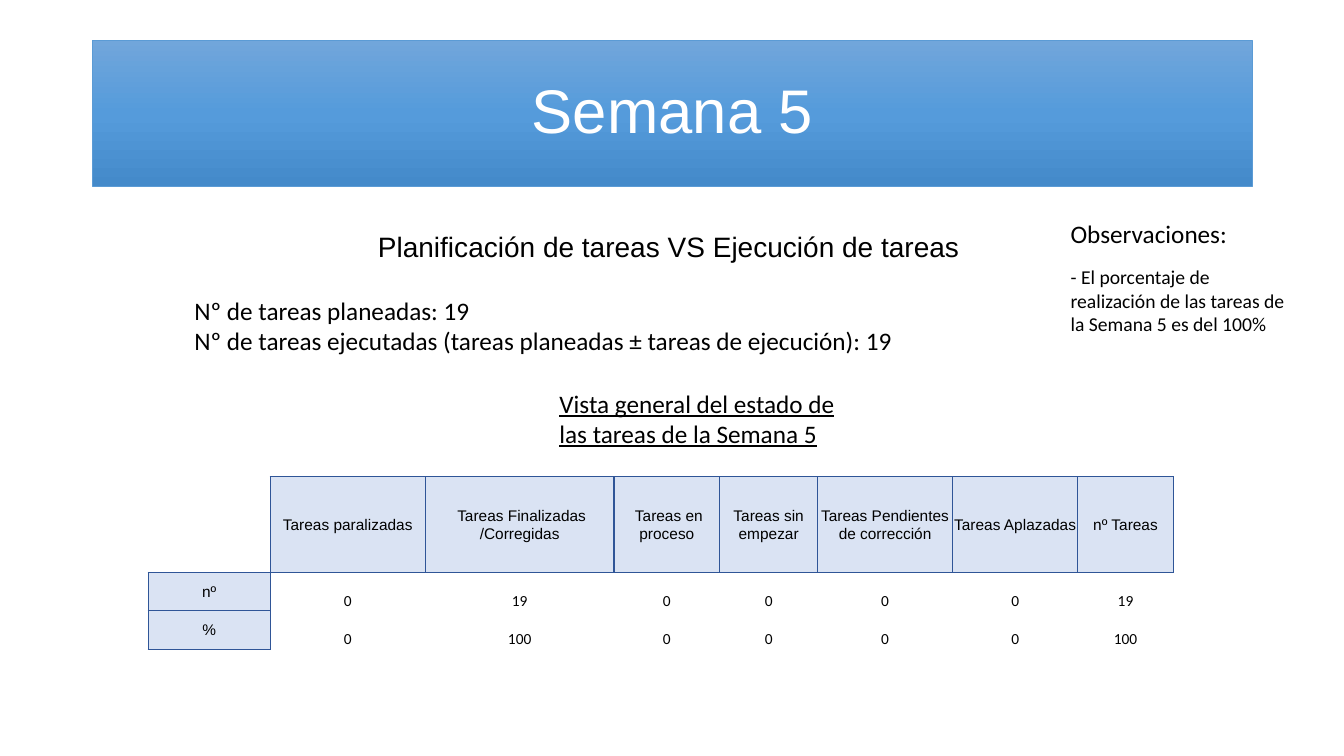
from copy import deepcopy
from dataclasses import dataclass

from lxml import etree
from pptx import Presentation
from pptx.dml import color
from pptx.enum import shapes, text
from pptx.oxml import ns
from pptx.util import Inches, Pt

COLORS = {
    "white": "FFFFFF",
    "black": "000000",
    "banner_top": "71A6DB",
    "banner_middle": "559BDB",
    "banner_bottom": "448ACA",
    "banner_line": "5B9BD5",
    "label_fill": "DAE3F3",
    "table_line": "2F5597",
}


@dataclass
class Note:
    left: float
    top: float
    width: float
    height: float
    lines: list[str]
    size: int = 18
    font: str = "Calibri"
    underline: bool = False


NOTES = [
    Note(3.65, 2.23, 6.04, 0.44,
         ["Planificación de tareas VS Ejecución de tareas"], 20, "Arial"),
    Note(1.83, 2.88, 7.47, 0.71,
         ["Nº de tareas planeadas: 19",
          "Nº de tareas ejecutadas (tareas planeadas ± tareas de ejecución): 19"]),
    Note(5.45, 3.8, 3.05, 0.71,
         ["Vista general del estado de las tareas de la Semana 5"], underline=True),
    Note(10.52, 2.12, 2.47, 0.4, ["Observaciones:"]),
    Note(10.52, 2.58, 2.46, 0.81,
         ["- El porcentaje de realización de las tareas de la Semana 5 es del 100%"], 14),
]

TASK_ROWS = [
    ["", "Tareas paralizadas", " Tareas Finalizadas /Corregidas", " Tareas en proceso",
     "Tareas sin empezar", "Tareas Pendientes de corrección", "Tareas Aplazadas",
     "nº Tareas"],
    ["nº", "0", "19", "0", "0", "0", "0", "19"],
    ["%", "0", "100", "0", "0", "0", "0", "100"],
]
COLUMN_WIDTHS = [1.21, 1.54, 1.87, 1.05, 0.97, 1.34, 1.24, 0.95]
ROW_HEIGHTS = [0.95, 0.38, 0.38]
# Border tag and the offset (row, column) of the neighbour across it
EDGES = {"a:lnL": (0, -1), "a:lnR": (0, 1), "a:lnT": (-1, 0), "a:lnB": (1, 0)}


def rgb(name: str) -> color.RGBColor:
    return color.RGBColor.from_string(COLORS[name])


def format_runs(paragraph, size: int, font: str, color_name: str = "black",
                underline: bool = False) -> None:
    for run in paragraph.runs:
        run.font.size = Pt(size)
        run.font.name = font
        run.font.color.rgb = rgb(color_name)
        if underline:
            run.font.underline = True


def add_banner(slide, title: str) -> None:
    banner = slide.shapes.add_shape(shapes.MSO_SHAPE.RECTANGLE, Inches(0.92),
                                    Inches(0.4), Inches(11.5), Inches(1.45))
    banner.shadow.inherit = False
    banner.line.color.rgb = rgb("banner_line")
    banner.line.width = Pt(0.5)

    # Three-stop gradient from top to bottom
    banner.fill.gradient()
    banner.fill.gradient_angle = 270
    stop_list = banner.fill._fill._gradFill.gsLst
    stop_list.insert(1, deepcopy(stop_list[0]))
    names = ["banner_top", "banner_middle", "banner_bottom"]
    for index, (stop, name) in enumerate(zip(banner.fill.gradient_stops, names)):
        stop.position = index / 2
        stop.color.rgb = rgb(name)

    frame = banner.text_frame
    frame.text = title
    frame.vertical_anchor = text.MSO_ANCHOR.MIDDLE
    paragraph = frame.paragraphs[0]
    paragraph.alignment = text.PP_ALIGN.CENTER
    paragraph.line_spacing = 0.9
    format_runs(paragraph, 44, "Arial", "white")


def add_note(slide, note: Note) -> None:
    box = slide.shapes.add_textbox(Inches(note.left), Inches(note.top),
                                   Inches(note.width), Inches(note.height))
    frame = box.text_frame
    frame.word_wrap = True
    frame.auto_size = text.MSO_AUTO_SIZE.SHAPE_TO_FIT_TEXT
    frame.text = "\n".join(note.lines)
    for paragraph in frame.paragraphs:
        format_runs(paragraph, note.size, note.font, underline=note.underline)


def is_label(row: int, column: int) -> bool:
    """Header cells and row names; the corner is neither."""
    inside = 0 <= row < len(ROW_HEIGHTS) and 0 <= column < len(COLUMN_WIDTHS)
    return inside and (row == 0) != (column == 0)


def set_borders(cell, row: int, column: int) -> None:
    properties = cell._tc.get_or_add_tcPr()
    for tag, (row_step, column_step) in EDGES.items():
        line = etree.SubElement(properties, ns.qn(tag), w=str(Pt(1)))
        if is_label(row, column) or is_label(row + row_step, column + column_step):
            fill = etree.SubElement(line, ns.qn("a:solidFill"))
            etree.SubElement(fill, ns.qn("a:srgbClr"), val=COLORS["table_line"])
        else:
            etree.SubElement(line, ns.qn("a:noFill"))


def format_cell(cell, row: int, column: int) -> None:
    label = is_label(row, column)
    set_borders(cell, row, column)
    if label:
        cell.fill.solid()
        cell.fill.fore_color.rgb = rgb("label_fill")
    else:
        cell.fill.background()
    cell.vertical_anchor = text.MSO_ANCHOR.MIDDLE if label else text.MSO_ANCHOR.BOTTOM
    margin = Inches(0.01 if label else 0)
    cell.margin_left = cell.margin_right = cell.margin_top = margin
    cell.margin_bottom = 0
    paragraph = cell.text_frame.paragraphs[0]
    paragraph.alignment = text.PP_ALIGN.CENTER
    format_runs(paragraph, 11, "Arial" if label else "Calibri")


def add_task_table(slide) -> None:
    table = slide.shapes.add_table(
        len(ROW_HEIGHTS), len(COLUMN_WIDTHS), Inches(1.47), Inches(4.73),
        Inches(sum(COLUMN_WIDTHS)), Inches(sum(ROW_HEIGHTS))).table
    table.first_row = False
    table.horz_banding = False
    for column, width in zip(table.columns, COLUMN_WIDTHS):
        column.width = Inches(width)
    for row, height in zip(table.rows, ROW_HEIGHTS):
        row.height = Inches(height)
    for row_index, values in enumerate(TASK_ROWS):
        for column_index, value in enumerate(values):
            cell = table.cell(row_index, column_index)
            cell.text_frame.text = value
            format_cell(cell, row_index, column_index)


def main() -> None:
    presentation = Presentation()
    presentation.slide_width = Inches(13.33)
    presentation.slide_height = Inches(7.5)
    slide = presentation.slides.add_slide(presentation.slide_layouts[6])

    # Title, task table and notes
    add_banner(slide, "Semana 5")
    add_task_table(slide)
    for note in NOTES:
        add_note(slide, note)

    presentation.save("out.pptx")


if __name__ == "__main__":
    main()
